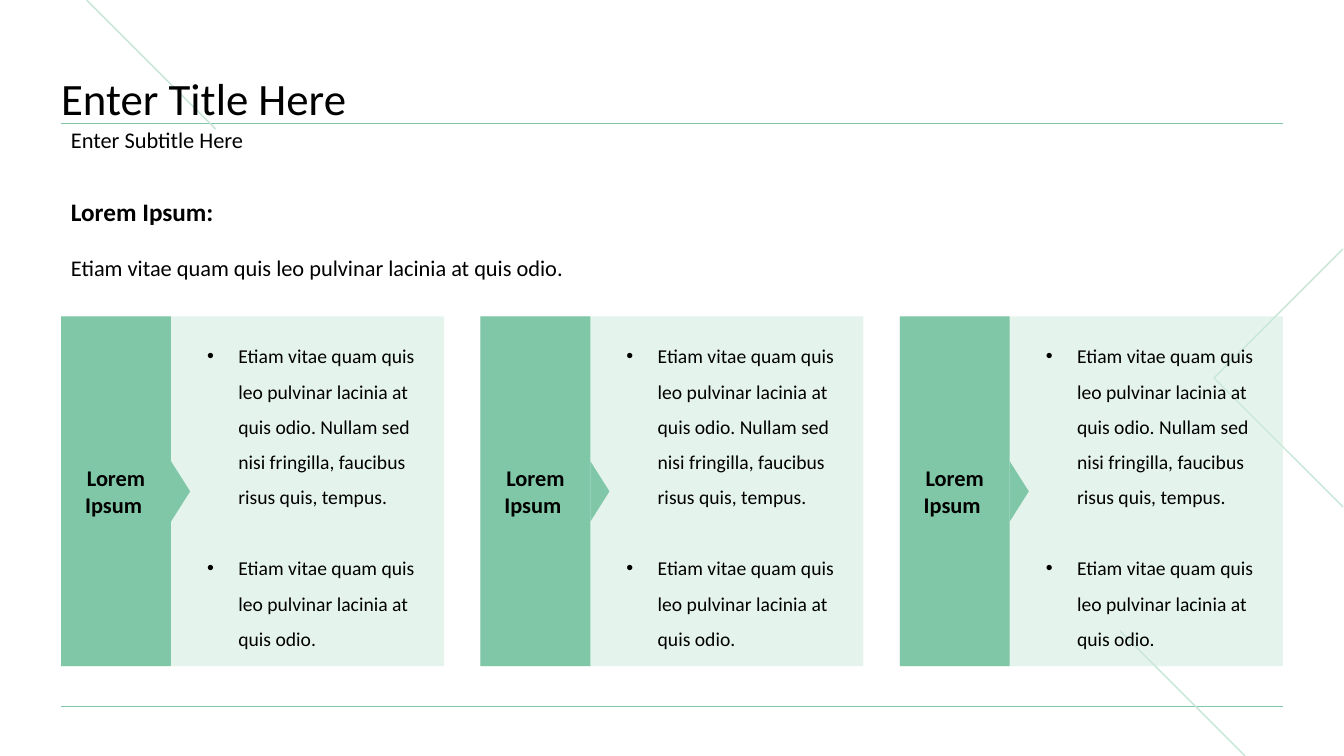
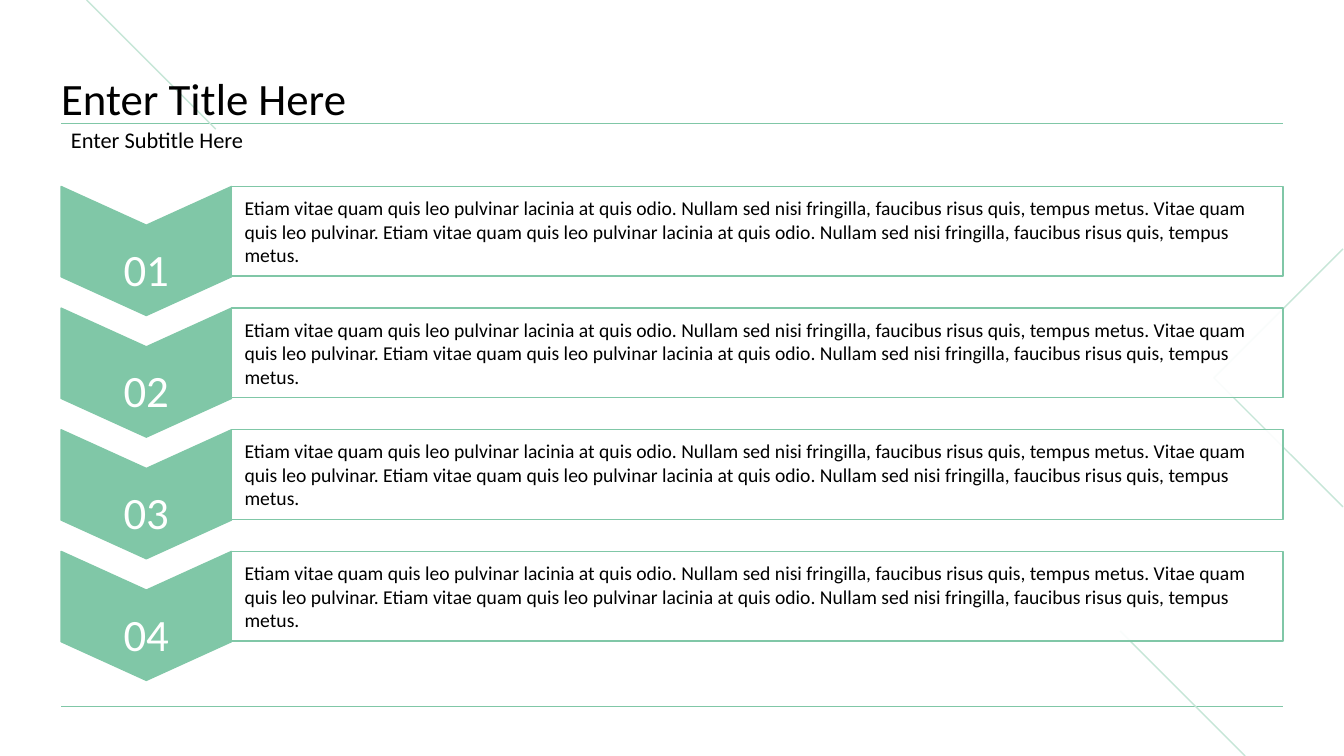
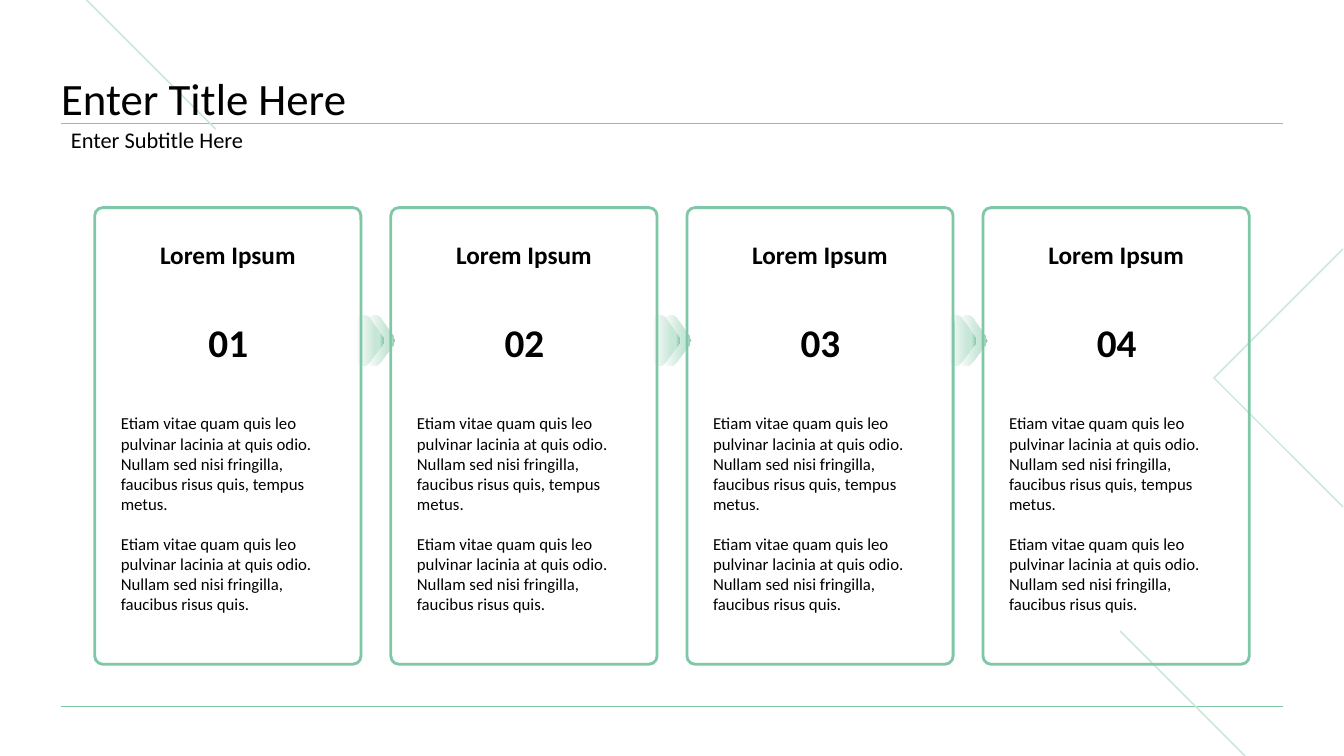
"""Build three green process slides that share one title and line frame."""
import pptx
import pptx.util
import pptx.dml.color
import pptx.enum.shapes
import pptx.enum.text
import pptx.oxml
import pptx.oxml.ns

WIDTH, HEIGHT = 13.33, 7.5
LEFT = WIDTH / 22
SPAN = WIDTH - 2 * LEFT
RIGHT = LEFT + SPAN
GREEN, PALE, MINT, BLACK, WHITE = "80C7A7", "C6E6D7", "CCE9DC", "000000", "FFFFFF"
FONT = "Calibri"
NS = pptx.oxml.ns.nsdecls("a")
SHAPE = pptx.enum.shapes.MSO_SHAPE
CENTER = pptx.enum.text.PP_ALIGN.CENTER
MIDDLE = pptx.enum.text.MSO_ANCHOR.MIDDLE
BOTTOM = pptx.enum.text.MSO_ANCHOR.BOTTOM

TITLE, SUBTITLE = "Enter Title Here", "Enter Subtitle Here"
FRAME_LINES = [
    (LEFT, 7.01, RIGHT, 7.01, GREEN, 0.5),
    (LEFT, 1.22, RIGHT, 1.22, GREEN, 0.5),
    (11.11, 6.26, 12.35, HEIGHT, PALE, 1),
    (0.86, 0, 2.14, 1.28, PALE, 1),
]
CORNER = [(13.32, 2.47), (12.04, 3.75), (13.32, 5.03)]

SHORT = "Etiam vitae quam quis leo pulvinar lacinia at quis odio."
HEADING = "Lorem Ipsum:"
PANELS = [
    ("Lorem Ipsum ", [SHORT + " Nullam sed nisi fringilla, faucibus risus quis, tempus.", SHORT]),
] * 3
STEP = (
    SHORT + " Nullam sed nisi fringilla, faucibus risus quis, tempus metus. "
    "Vitae quam quis leo pulvinar. " + SHORT
    + " Nullam sed nisi fringilla, faucibus risus quis, tempus metus."
)
STEPS = [("01", STEP), ("02", STEP), ("03", STEP), ("04", STEP)]
CARD = [
    SHORT + " Nullam sed nisi fringilla, faucibus risus quis, tempus metus.",
    SHORT + " Nullam sed nisi fringilla, faucibus risus quis.",
]
CARDS = [(number, "Lorem Ipsum", CARD) for number in ("01", "02", "03", "04")]

ARROW_CURVES = [
    [(0, 0.07), (0, 0.02), (0.09, 0), (0.12, 0.04)],
    [(0.26, 0.24), (0.27, 0.26), (0.27, 0.28), (0.26, 0.3)],
    [(0.12, 0.49), (0.09, 0.54), (0, 0.52), (0, 0.47)],
]
ARROW_STOPS = [(0, "F9FCFB"), (69, PALE), (83, PALE), (100, GREEN)]


def inch(value):
    return pptx.util.Inches(value)


def color(value):
    return pptx.dml.color.RGBColor.from_string(value)


def assign(target, values):
    for name, value in values.items():
        setattr(target, name, value)


def write(shape, texts, size, ink=BLACK, bold=False, anchor=None, inset=(0.1, 0.05, 0.1, 0.05),
          **layout):
    frame = shape.text_frame
    sides = ("margin_left", "margin_top", "margin_right", "margin_bottom")
    assign(frame, {"word_wrap": True, "vertical_anchor": anchor})
    assign(frame, dict(zip(sides, map(inch, inset))))
    for index, text in enumerate(texts):
        para = frame.add_paragraph() if index else frame.paragraphs[0]
        assign(para, layout)
        span = para.add_run()
        span.text = text
        assign(span.font, {"name": FONT, "size": pptx.util.Pt(size), "bold": bold})
        span.font.color.rgb = color(ink)
    return frame.paragraphs


def add_text(page, area, texts, size, **style):
    return write(page.shapes.add_textbox(*map(inch, area)), texts, size, **style)


def paint(shape, fill=None, line=None, weight=1, alpha=None):
    shape.shadow.inherit = False
    if fill:
        shape.fill.solid()
        shape.fill.fore_color.rgb = color(fill)
        if alpha:
            tint = shape.fill._xPr.find(".//" + pptx.oxml.ns.qn("a:srgbClr"))
            tint.append(pptx.oxml.parse_xml(f'<a:alpha {NS} val="{alpha * 1000}"/>'))
    else:
        shape.fill.background()
    if line:
        shape.line.color.rgb = color(line)
        shape.line.width = pptx.util.Pt(weight)
    else:
        shape.line.fill.background()
    return shape


def add_box(page, kind, area, turned=False, adjust=None, **style):
    left, top, width, height = area
    if turned:
        left, top = left + (width - height) / 2, top + (height - width) / 2
        width, height = height, width
    box = page.shapes.add_shape(kind, *map(inch, (left, top, width, height)))
    box.rotation = 90 if turned else 0
    if adjust is not None:
        box.adjustments[0] = adjust
    return paint(box, **style)


def add_outline(page, points, closed):
    points = [(inch(x), inch(y)) for x, y in points]
    builder = page.shapes.build_freeform(*points[0], scale=1.0)
    builder.add_line_segments(points[1:], close=closed)
    return builder.convert_to_shape()


def add_frame(deck):
    page = deck.slides.add_slide(deck.slide_layouts[6])
    for *ends, ink, weight in FRAME_LINES:
        line = page.shapes.add_connector(pptx.enum.shapes.MSO_CONNECTOR.STRAIGHT, *map(inch, ends))
        line.line.color.rgb = color(ink)
        line.line.width = pptx.util.Pt(weight)
        line._element.spPr.append(pptx.oxml.parse_xml(f"<a:effectLst {NS}/>"))
    paint(add_outline(page, CORNER, False), line=PALE)
    add_text(page, (LEFT, 0.44, SPAN, 0.8), [TITLE], 32, anchor=BOTTOM, inset=(0, 0, 0, 0),
             line_spacing=0.9)
    add_text(page, (LEFT, 1.23, SPAN, 0.34), [SUBTITLE], 16, anchor=MIDDLE, line_spacing=0.9)
    return page


def add_bullet(para):
    props = para._p.get_or_add_pPr()
    props.set("marL", str(inch(0.31)))
    props.set("indent", str(-inch(0.31)))
    props.append(pptx.oxml.parse_xml(f'<a:buFont {NS} typeface="Arial"/>'))
    props.append(pptx.oxml.parse_xml(f'<a:buChar {NS} char="•"/>'))


def add_panels(page):
    top, width, height, tab = 3.14, 3.8, 3.47, 1.09
    pitch = (SPAN - width) / (len(PANELS) - 1)
    heading, intro = add_text(page, (LEFT, 1.88, SPAN, 0.98), [HEADING, SHORT], 16, anchor=MIDDLE)
    assign(heading.runs[0].font, {"size": pptx.util.Pt(18), "bold": True})
    intro.space_before = pptx.util.Pt(19.5)
    for index, (label, texts) in enumerate(PANELS):
        left = LEFT + index * pitch
        add_box(page, SHAPE.RECTANGLE, (left, top, width, height), fill=MINT, alpha=50)
        paras = add_text(page, (left + 1.35, top, 2.2, height), texts, 14, anchor=MIDDLE,
                         inset=(0.1, 0, 0, 0), line_spacing=1.5)
        for para in paras:
            add_bullet(para)
        paras[-1].space_before = pptx.util.Pt(25.5)
        side = add_box(page, SHAPE.RECTANGLE, (left, top, tab, height), fill=GREEN)
        write(side, [label], 16, bold=True, anchor=MIDDLE, alignment=CENTER)
        add_box(page, SHAPE.ISOSCELES_TRIANGLE, (left + tab, top + height / 2 - 0.3, 0.19, 0.6),
                turned=True, fill=GREEN)


def add_steps(page):
    top, bottom, height, badge = 1.85, 6.36, 0.89, 1.69
    pitch = (bottom - top - height) / (len(STEPS) - 1)
    for index, (number, text) in enumerate(STEPS):
        row = top + index * pitch
        add_box(page, SHAPE.CHEVRON, (LEFT, row, badge, 1.28), turned=True, adjust=0.3,
                fill=GREEN, line=GREEN)
        bar = add_box(page, SHAPE.RECTANGLE, (LEFT + badge, row, SPAN - badge, height),
                      fill=WHITE, alpha=90, line=GREEN)
        write(bar, [text], 14, anchor=MIDDLE, inset=(0.13, 0.04, 0.04, 0.04),
              alignment=pptx.enum.text.PP_ALIGN.LEFT)
        add_text(page, (LEFT, row + 0.23, badge, 0.81), [number], 32, ink=WHITE,
                 alignment=CENTER, line_spacing=1.5)


def bend(outline):
    lines = list(outline._element.iter(pptx.oxml.ns.qn("a:lnTo")))
    for first in range(0, len(lines), 4):
        curve = pptx.oxml.parse_xml(f"<a:cubicBezTo {NS}/>")
        lines[first].addprevious(curve)
        for line in lines[first:first + 3]:
            curve.append(line[0])
            line.getparent().remove(line)


def add_arrow(page, left, top):
    points = [(left + x, top + y) for curve in ARROW_CURVES for x, y in curve]
    arrow = paint(add_outline(page, points, True), fill=GREEN)
    bend(arrow)
    stops = "".join(f'<a:gs pos="{pos * 1000}"><a:srgbClr val="{ink}"/></a:gs>'
                    for pos, ink in ARROW_STOPS)
    gradient = pptx.oxml.parse_xml(
        f'<a:gradFill {NS}><a:gsLst>{stops}</a:gsLst><a:lin ang="0" scaled="0"/></a:gradFill>')
    props = arrow._element.spPr
    props.replace(props.find(pptx.oxml.ns.qn("a:solidFill")), gradient)


def add_cards(page):
    margin, top, width, height = 0.94, 2.06, 2.64, 4.53
    pitch = (WIDTH - 2 * margin - width) / (len(CARDS) - 1)
    for index, (number, label, texts) in enumerate(CARDS):
        left = margin + index * pitch
        if index < len(CARDS) - 1:
            for shift in (0.07, -0.04):
                add_arrow(page, left + width + shift, top + 1.05)
        add_box(page, SHAPE.ROUNDED_RECTANGLE, (left, top, width, height), adjust=0.03,
                line=GREEN, weight=2)
        paras = add_text(page, (left + 0.16, 4.05, 2.35, 2.12), texts, 12)
        paras[-1].space_before = pptx.util.Pt(14)
        add_text(page, (left + 0.94, 3.16, 0.77, 0.47), [number], 28, bold=True,
                 inset=(0, 0, 0, 0), alignment=CENTER)
        add_text(page, (left + 0.04, 2.33, 2.56, 0.4), [label], 18, bold=True, alignment=CENTER)


def main():
    deck = pptx.Presentation()
    assign(deck, {"slide_width": inch(WIDTH), "slide_height": inch(HEIGHT)})
    for fill_page in (add_panels, add_steps, add_cards):
        fill_page(add_frame(deck))
    deck.save("out.pptx")


if __name__ == "__main__":
    main()
